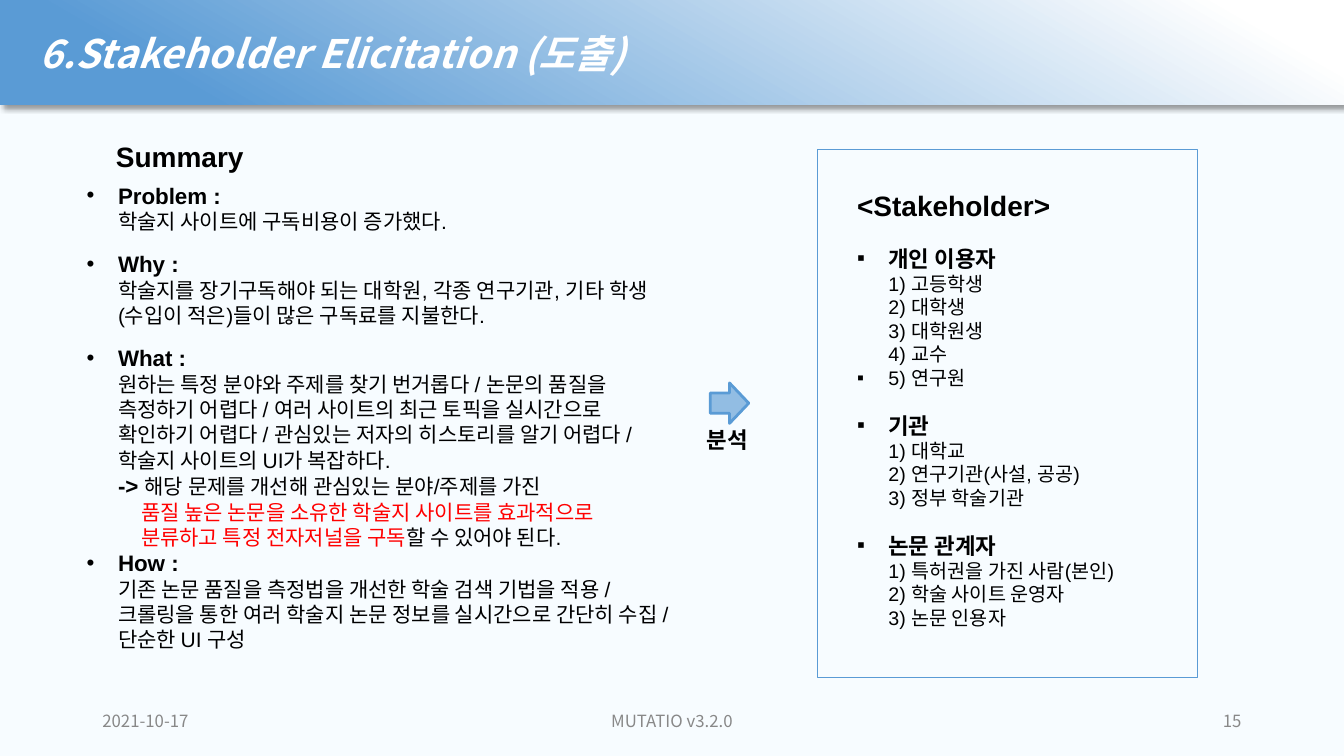
from copy import deepcopy
from dataclasses import dataclass

from lxml import etree
from pptx import Presentation
from pptx.dml.color import RGBColor
from pptx.enum.shapes import MSO_SHAPE
from pptx.enum.text import MSO_ANCHOR, MSO_AUTO_SIZE, PP_ALIGN
from pptx.oxml.ns import qn
from pptx.util import Cm, Pt

LEFT, CENTER, RIGHT = PP_ALIGN.LEFT, PP_ALIGN.CENTER, PP_ALIGN.RIGHT
TOP, MIDDLE = MSO_ANCHOR.TOP, MSO_ANCHOR.MIDDLE
NO_AUTOFIT = MSO_AUTO_SIZE.NONE
RECT_ARROW = MSO_SHAPE.RIGHT_ARROW


@dataclass(frozen=True)
class Style:
    size: int
    bold: bool = False
    italic: bool = False
    color: str = "000000"
    font: str = "Arial"


@dataclass(frozen=True)
class Theme:
    background: str = "F7FCFF"
    blue: str = "5A9BD5"
    pale_blue: str = "92BDE3"
    white: str = "FFFFFF"
    korean: str = "Noto Sans CJK KR"
    title: Style = Style(28, True, True, "FFFFFF", "Noto Sans CJK KR")
    heading: Style = Style(20, True)
    label: Style = Style(16, True)
    text: Style = Style(15)
    red: Style = Style(15, color="FF0000")
    item: Style = Style(14)
    footer: Style = Style(12, color="888888", font="Noto Sans CJK KR")


T = Theme()

TITLE = "6.Stakeholder Elicitation (도출)"

DOT, SQUARE, HANG, SUB_INDENT = "•", "▪", 0.79, 1.37

SUMMARY = [
    (DOT, HANG, 0, [
        ("Problem : \n", T.label),
        ("학술지 사이트에 구독비용이 증가했다.", T.text)]),
    (DOT, HANG, 12, [
        ("Why : \n", T.label),
        ("학술지를 장기구독해야 되는 대학원, 각종 연구기관, 기타 학생(수입이 적은)들이 "
         "많은 구독료를 지불한다.", T.text)]),
    (DOT, HANG, 12, [
        ("What : \n", T.label),
        ("원하는 특정 분야와 주제를 찾기 번거롭다 / 논문의 품질을 측정하기 어렵다 / "
         "여러 사이트의 최근 토픽을 실시간으로 확인하기 어렵다 / "
         "관심있는 저자의 히스토리를 알기 어렵다 / 학술지 사이트의 UI가 복잡하다.", T.text)]),
    (None, HANG, 0, [
        ("-> ", T.label),
        ("해당 문제를 개선해 관심있는 분야/주제를 가진", T.text)]),
    (None, SUB_INDENT, 0, [
        ("품질 높은 논문을 소유한 학술지 사이트를 효과적으로\n", T.red),
        ("분류하고 특정 전자저널을 구독", T.red),
        ("할 수 있어야 된다.", T.text)]),
    (DOT, HANG, 0, [
        ("How : \n", T.label),
        ("기존 논문 품질을 측정법을 개선한 학술 검색 기법을 적용 / "
         "크롤링을 통한 여러 학술지 논문 정보를 실시간으로 간단히 수집 / 단순한 UI 구성", T.text)]),
]

STAKEHOLDERS = [
    (None, 0, 0, [("<Stakeholder>", T.heading)]),
    (SQUARE, HANG, 16, [
        ("개인 이용자\n", T.label), ("1) 고등학생\n", T.item), ("2) 대학생\n", T.item),
        ("3) 대학원생\n", T.item), ("4) 교수", T.item)]),
    (SQUARE, HANG, 0, [("5) 연구원", T.item)]),
    (SQUARE, HANG, 16, [
        ("기관\n", T.label), ("1) 대학교\n", T.item),
        ("2) 연구기관(사설, 공공)\n", T.item), ("3) 정부 학술기관", T.item)]),
    (SQUARE, HANG, 16, [
        ("논문 관계자\n", T.label), ("1) 특허권을 가진 사람(본인)\n", T.item),
        ("2) 학술 사이트 운영자\n", T.item), ("3) 논문 인용자", T.item)]),
]

LABELS = [
    ("Summary", (2.67, 3.4, 6.38, 1.12), T.heading, LEFT, TOP),
    ("분석", (17.42, 10.62, 1.83, 0.94), T.label, CENTER, TOP),
    ("2021-10-17", (2.33, 17.65, 7.62, 1.02), T.footer, LEFT, MIDDLE),
    ("MUTATIO v3.2.0", (11.22, 17.65, 11.43, 1.02), T.footer, CENTER, MIDDLE),
    ("15", (23.92, 17.65, 7.62, 1.02), T.footer, RIGHT, MIDDLE),
]


def rgb(color):
    return RGBColor.from_string(color)


def place(sp, box):
    sp.left, sp.top, sp.width, sp.height = map(Cm, box)


def format_run(r, style):
    r.font.size, r.font.bold, r.font.italic = Pt(style.size), style.bold, style.italic
    r.font.name = style.font
    r.font.color.rgb = rgb(style.color)
    etree.SubElement(r.font._element, qn("a:ea"), typeface=T.korean)


def fill_line(sp, text, style, align, anchor):
    tf = sp.text_frame
    tf.text = text
    tf.word_wrap, tf.auto_size, tf.vertical_anchor = True, NO_AUTOFIT, anchor
    tf.paragraphs[0].alignment = align
    format_run(tf.paragraphs[0].runs[0], style)


def set_bullet(p, bullet, indent):
    pPr = p._p.get_or_add_pPr()
    pPr.set("marL", str(Cm(indent)))
    pPr.set("indent", str(-Cm(indent) if bullet else 0))
    if bullet:
        etree.SubElement(pPr, qn("a:buFont"), typeface="Arial")
        etree.SubElement(pPr, qn("a:buChar"), char=bullet)
    else:
        etree.SubElement(pPr, qn("a:buNone"))


def fill_list(sp, paragraphs):
    tf = sp.text_frame
    tf.word_wrap, tf.auto_size, tf.vertical_anchor = True, NO_AUTOFIT, TOP
    for i, (bullet, indent, gap, runs) in enumerate(paragraphs):
        p = tf.add_paragraph() if i else tf.paragraphs[0]
        set_bullet(p, bullet, indent)
        p.alignment, p.line_spacing = LEFT, 1.0
        p.space_before, p.space_after = Pt(gap), Pt(0)
        for text, style in runs:
            r = p.add_run()
            r.text = text.rstrip("\n")
            format_run(r, style)
            if text.endswith("\n"):
                p.add_line_break()
                p._p[-1].append(deepcopy(r.font._element))


def add_band_shadow(sp):
    effects = etree.SubElement(sp._element.spPr, qn("a:effectLst"))
    shadow = etree.SubElement(effects, qn("a:outerShdw"), blurRad=str(Pt(4)),
                              dist=str(Pt(3)), dir="2700000", algn="tl", rotWithShape="0")
    color = etree.SubElement(shadow, qn("a:srgbClr"), val="000000")
    etree.SubElement(color, qn("a:alpha"), val="40000")


def main():
    prs = Presentation()
    prs.slide_width, prs.slide_height = Cm(33.87), Cm(19.05)
    s = prs.slides.add_slide(prs.slide_layouts[3])
    s.background.fill.solid()
    s.background.fill.fore_color.rgb = rgb(T.background)

    title, summary, panel = s.placeholders
    place(title, (0, 0, 33.87, 2.64))
    fill_line(title, TITLE, T.title, LEFT, MIDDLE)
    title.text_frame.margin_left = Cm(1)
    title.fill.gradient()
    title.fill.gradient_angle = 240
    for stop, position, color in zip(title.fill.gradient_stops, (0.08, 0.86), (T.white, T.blue)):
        stop.position, stop.color.rgb = position, rgb(color)
    title.line.fill.background()
    add_band_shadow(title)

    place(summary, (1.93, 4.45, 15.39, 12.22))
    fill_list(summary, SUMMARY)

    place(panel, (20.6, 3.76, 9.58, 13.31))
    fill_list(panel, STAKEHOLDERS)
    tf = panel.text_frame
    tf.margin_left = tf.margin_top = tf.margin_right = tf.margin_bottom = Cm(1)
    panel.line.color.rgb, panel.line.width = rgb(T.blue), Pt(1)

    arrow = s.shapes.add_shape(RECT_ARROW, *map(Cm, (17.9, 9.65, 0.97, 1.02)))
    arrow.shadow.inherit = False
    arrow.fill.solid()
    arrow.fill.fore_color.rgb = rgb(T.pale_blue)
    arrow.line.color.rgb, arrow.line.width = rgb(T.blue), Pt(2)

    for text, box, style, align, anchor in LABELS:
        fill_line(s.shapes.add_textbox(*map(Cm, box)), text, style, align, anchor)

    prs.save("out.pptx")


if __name__ == "__main__":
    main()
